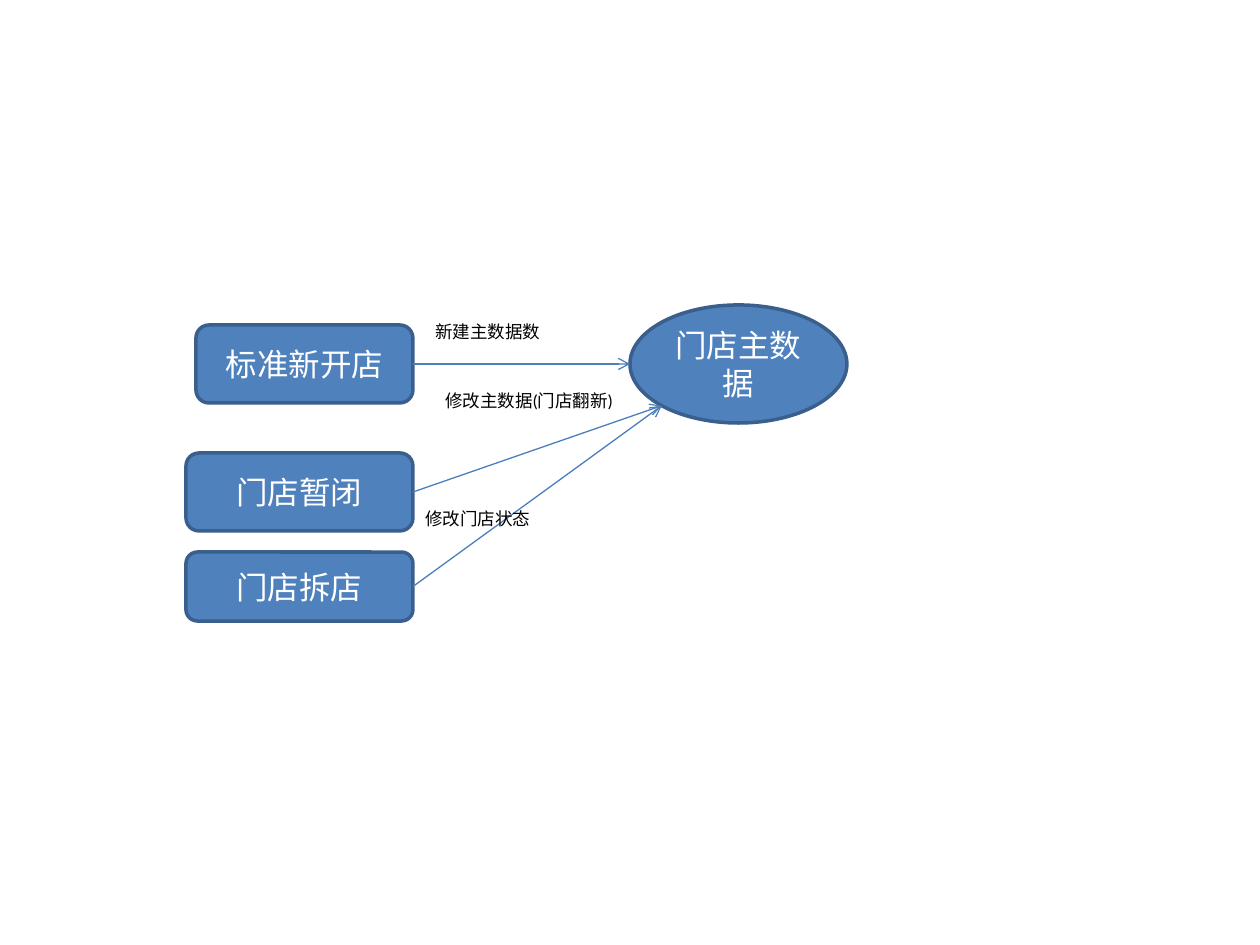
from math import cos, pi

from lxml.etree import SubElement
from pptx import Presentation
from pptx.dml.color import RGBColor
from pptx.enum.shapes import MSO_CONNECTOR, MSO_SHAPE
from pptx.enum.text import MSO_ANCHOR, MSO_AUTO_SIZE, PP_ALIGN
from pptx.oxml.ns import qn
from pptx.util import Emu, Pt

SCALE = 914400 / 126
FONT = "Calibri"
RIGHT = 3

BLUE = RGBColor(0x4F, 0x81, 0xBD)
OUTLINE = RGBColor(0x3A, 0x5F, 0x8C)
ARROW = RGBColor(0x4B, 0x7E, 0xBC)
WHITE = RGBColor(0xFF, 0xFF, 0xFF)
BLACK = RGBColor(0, 0, 0)


def px(length):
    return Emu(round(length * SCALE))


def write(frame, text, size=10, color=BLACK, align=PP_ALIGN.LEFT,
          anchor=MSO_ANCHOR.TOP, wrap=True):
    frame.word_wrap = wrap
    frame.vertical_anchor = anchor
    paragraph = frame.paragraphs[0]
    paragraph.alignment = align
    run = paragraph.add_run()
    run.text = text
    run.font.name = FONT
    run.font.size = Pt(size)
    run.font.color.rgb = color


def add_node(slide, preset, text, box):
    node = slide.shapes.add_shape(preset, *map(px, box))
    node.shadow.inherit = False
    node.fill.solid()
    node.fill.fore_color.rgb = BLUE
    node.line.color.rgb = OUTLINE
    node.line.width = Pt(2)
    write(node.text_frame, text, size=18, color=WHITE,
          align=PP_ALIGN.CENTER, anchor=MSO_ANCHOR.MIDDLE)
    return node


def add_label(slide, text, box, wrap):
    label = slide.shapes.add_textbox(*map(px, box))
    write(label.text_frame, text, wrap=wrap)
    label.text_frame.auto_size = MSO_AUTO_SIZE.SHAPE_TO_FIT_TEXT


def add_arrow(slide, event, target):
    arrow = slide.shapes.add_connector(MSO_CONNECTOR.STRAIGHT, 0, 0, *target)
    arrow.begin_connect(event, RIGHT)
    arrow.line.color.rgb = ARROW
    arrow.line.width = Pt(0.75)
    SubElement(arrow.line._get_or_add_ln(), qn("a:tailEnd"), type="arrow")
    SubElement(arrow._element.spPr, qn("a:effectLst"))


def add_store_flow(slide, left, top):
    """Store events on the left, all feeding the master data on the right."""
    # Master data, with the two points where arrows arrive
    master = add_node(slide, MSO_SHAPE.OVAL, "门店主数据",
                      (left + 444, top, 217, 118))
    radius_x, radius_y = master.width / 2, master.height / 2
    center_x, center_y = master.left + radius_x, master.top + radius_y
    left_side = (master.left, round(center_y))
    lower_left = (round(center_x - radius_x * cos(pi / 4)),
                  round(center_y + radius_y * cos(pi / 4)))

    # Store events, aligned on their right edge, each with its arrow
    events_right = left + 227
    for text, offset, width, height, target in (
        ("标准新开店", 20, 217, 78, left_side),
        ("门店暂闭", 148, 227, 78, lower_left),
        ("门店拆店", 247, 227, 69, lower_left),
    ):
        event = add_node(slide, MSO_SHAPE.ROUNDED_RECTANGLE, text,
                         (events_right - width, top + offset, width, height))
        add_arrow(slide, event, target)

    # What each event does to the master data
    for text, x, y, width, wrap in (
        ("新建主数据数", 237, 10, 131, False),
        ("修改主数据(门店翻新)", 247, 79, 197, True),
        ("修改门店状态", 227, 197, 131, False),
    ):
        add_label(slide, text, (left + x, top + y, width, 34), wrap)


def main():
    prs = Presentation()
    prs.slide_width, prs.slide_height = px(1260), px(945)
    slide = prs.slides.add_slide(prs.slide_layouts[6])
    add_store_flow(slide, left=186, top=305)
    prs.save("out.pptx")


if __name__ == "__main__":
    main()
